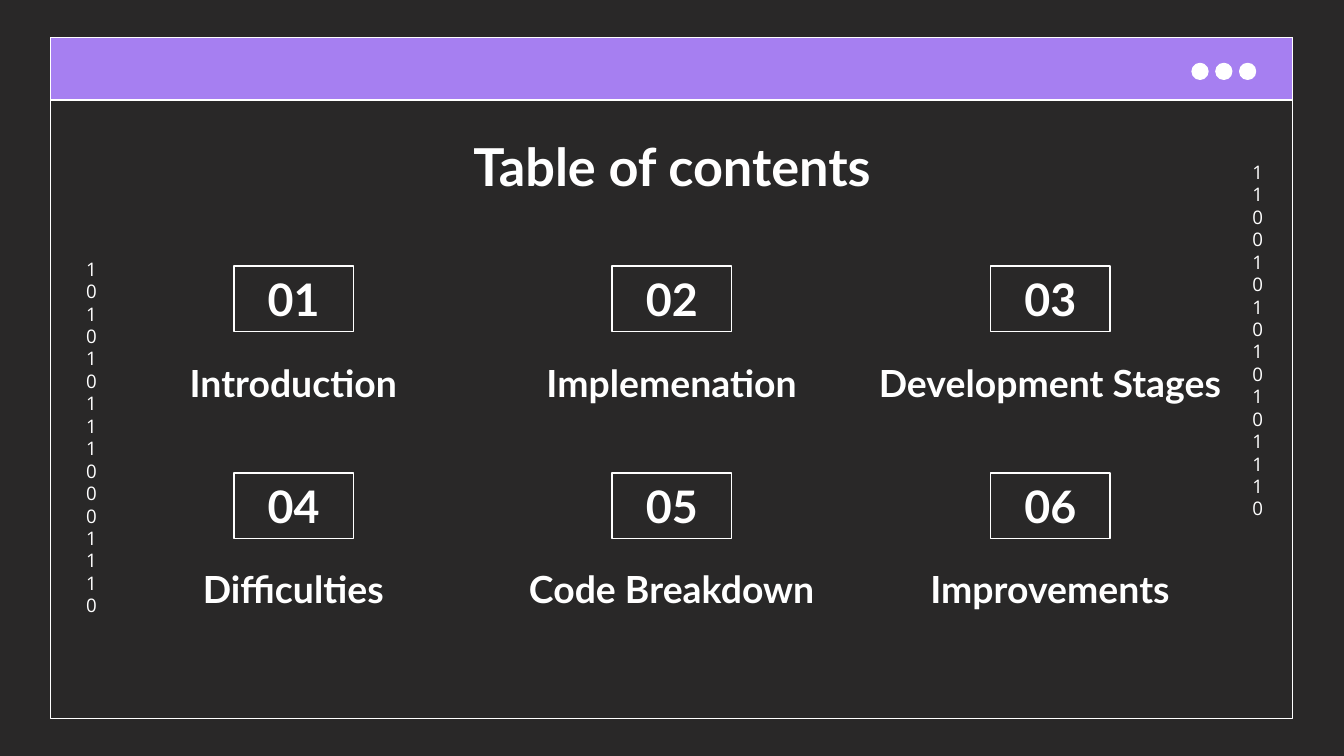
from pptx import Presentation
from pptx.dml.color import RGBColor
from pptx.enum.shapes import MSO_SHAPE as Shape
from pptx.enum.text import MSO_ANCHOR as Anchor, PP_ALIGN as Align
from pptx.util import Cm, Pt

COLORS = {"background": "292828", "bar": "A67FF1", "white": "FFFFFF"}
HEADING_FONT, DIGIT_FONT = "Lato", "Open Sans"
TOPICS = ["Introduction", "Implemenation", "Development Stages",
          "Difficulties", "Code Breakdown", "Improvements"]
COLUMNS = 3
COLUMN_STEP, ROW_STEP = 7.15, 3.91


def color(name):
    return RGBColor.from_string(COLORS[name])


class SlideBuilder:
    """Holds the shared style and the slide being drawn; lengths are in cm."""

    inset = Cm(0.25)
    line_width = Pt(0.75)

    def __init__(self, slide):
        self.slide = slide
        slide.background.fill.solid()
        slide.background.fill.fore_color.rgb = color("background")

    def outlined(self, kind, left, top, width, height, fill=None):
        shape = self.slide.shapes.add_shape(
            kind, Cm(left), Cm(top), Cm(width), Cm(height))
        shape.shadow.inherit = False
        if fill:
            shape.fill.solid()
            shape.fill.fore_color.rgb = color(fill)
        else:
            shape.fill.background()
        shape.line.color.rgb = color("white")
        shape.line.width = self.line_width
        return shape

    def set_text(self, shape, text, size, font=HEADING_FONT, bold=True, anchor=Anchor.TOP):
        frame = shape.text_frame
        frame.text = text
        frame.word_wrap = True
        frame.vertical_anchor = anchor
        frame.margin_left = frame.margin_right = self.inset
        frame.margin_top = frame.margin_bottom = self.inset
        for paragraph in frame.paragraphs:
            paragraph.alignment = Align.CENTER
            for run in paragraph.runs:
                run.font.name = font
                run.font.size = Pt(size)
                run.font.bold = bold
                run.font.color.rgb = color("white")

    def label(self, text, left, top, width, height, size, **style):
        box = self.slide.shapes.add_textbox(Cm(left), Cm(top), Cm(width), Cm(height))
        self.set_text(box, text, size, **style)

    def number_box(self, text, left, top):
        box = self.outlined(Shape.RECTANGLE, left, top, 2.26, 1.24)
        self.set_text(box, text, 24, anchor=Anchor.MIDDLE)

    def digit_column(self, digits, left, top):
        """Stack digits by wrapping them in a box one character wide."""
        self.label(digits, left, top, 0.61, 7.11, 10, font=DIGIT_FONT, bold=False)

    def window(self):
        self.outlined(Shape.RECTANGLE, 0.96, 0.71, 23.47, 12.87)
        self.outlined(Shape.RECTANGLE, 0.96, 0.71, 23.47, 1.18, fill="bar")
        for dot in range(3):
            self.outlined(Shape.OVAL, 22.53 + 0.45 * dot, 1.2, 0.3, 0.3, fill="white")


def main():
    deck = Presentation()
    deck.slide_width, deck.slide_height = Cm(25.4), Cm(14.29)
    builder = SlideBuilder(deck.slides.add_slide(deck.slide_layouts[6]))

    builder.window()
    builder.digit_column("1100101010101110", 23.42, 2.79)
    builder.digit_column("101010111000111\n0", 1.38, 4.62)
    builder.label("Table of contents", 2, 2.29, 21.4, 1.6, 28)

    for index, topic in enumerate(TOPICS):
        row, column = divmod(index, COLUMNS)
        across, down = column * COLUMN_STEP, row * ROW_STEP
        builder.number_box(f"{index + 1:02}", 4.42 + across, 5.03 + down)
        builder.label(topic, 2 + across, 6.55 + down, 7.09, 1.5, 20)

    deck.save("out.pptx")


if __name__ == "__main__":
    main()
